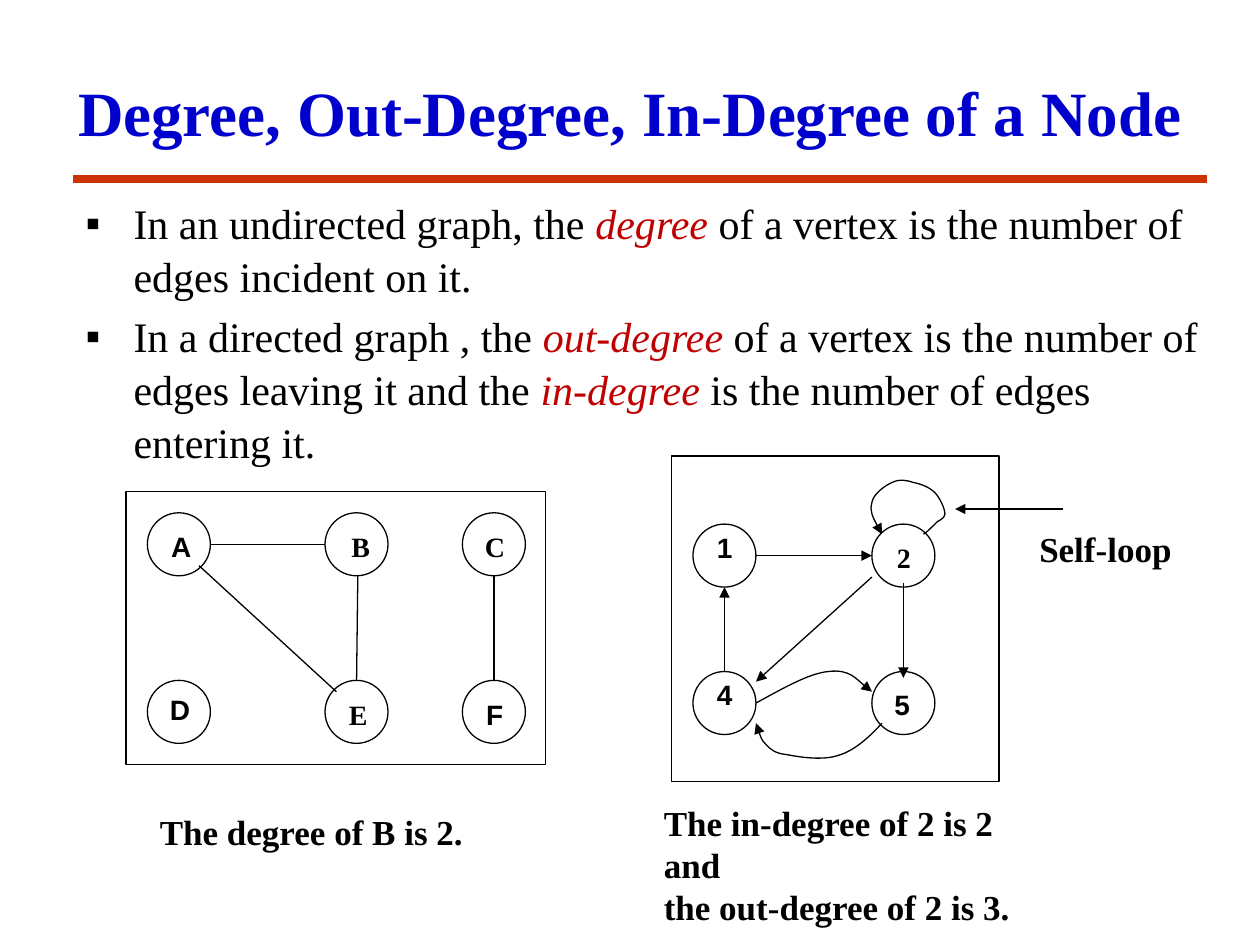
from dataclasses import dataclass
from typing import NamedTuple

from lxml import etree
from pptx import Presentation
from pptx.dml.color import RGBColor
from pptx.enum.shapes import MSO_CONNECTOR, MSO_SHAPE
from pptx.enum.text import MSO_ANCHOR, MSO_AUTO_SIZE, PP_ALIGN
from pptx.oxml.ns import qn
from pptx.util import Inches, Pt

STRAIGHT = MSO_CONNECTOR.STRAIGHT
OVAL, RECTANGLE = MSO_SHAPE.OVAL, MSO_SHAPE.RECTANGLE
TOP, MIDDLE = MSO_ANCHOR.TOP, MSO_ANCHOR.MIDDLE
CENTER = PP_ALIGN.CENTER
NO_FIT, FIT_SHAPE = MSO_AUTO_SIZE.NONE, MSO_AUTO_SIZE.SHAPE_TO_FIT_TEXT


@dataclass(frozen=True)
class Theme:
    ink: RGBColor = RGBColor(0, 0, 0)
    title: RGBColor = RGBColor(0, 0, 0xCC)
    term: RGBColor = RGBColor(0xC0, 0, 0)
    rule: RGBColor = RGBColor(0xCC, 0x33, 0)
    serif: str = "Times New Roman"
    sans: str = "Arial"
    title_size: float = 36
    body_size: float = 24
    caption_size: float = 20
    label_size: float = 16
    thin: float = 0.75
    thick: float = 4.5


THEME = Theme()
NODE_SIZE = 0.5


class Box(NamedTuple):
    left: float
    top: float
    width: float
    height: float


class Node(NamedTuple):
    label: str
    left: float
    top: float
    label_left: float
    label_top: float
    font: str


class Edge(NamedTuple):
    start: tuple[float, float]
    end: tuple[float, float]
    directed: bool = True


class Caption(NamedTuple):
    text: str
    box: Box


TITLE = "Degree, Out-Degree, In-Degree of a Node"
DEFINITIONS = [  # (text, is a defined term)
    [("In an undirected graph, the ", False), ("degree", True),
     (" of a vertex is the number of edges incident on it.", False)],
    [("In a directed graph , the ", False), ("out-degree ", True),
     ("of a vertex is the number of edges leaving it and the ", False),
     ("in-degree ", True), ("is the number of edges entering it.", False)],
]
FRAMES = [Box(1, 3.9, 3.33, 2.17), Box(5.33, 3.62, 2.6, 2.58)]
NODES = [
    Node("A", 1.17, 4.07, 1.26, 4.15, THEME.sans),
    Node("B", 2.58, 4.07, 2.69, 4.15, THEME.serif),
    Node("C", 3.67, 4.07, 3.75, 4.15, THEME.serif),
    Node("D", 1.17, 5.4, 1.25, 5.45, THEME.sans),
    Node("E", 2.58, 5.4, 2.67, 5.49, THEME.serif),
    Node("F", 3.67, 5.4, 3.76, 5.49, THEME.sans),
    Node("1", 5.5, 4.16, 5.59, 4.16, THEME.sans),
    Node("2", 6.92, 4.16, 7.02, 4.24, THEME.serif),
    Node("4", 5.5, 5.33, 5.59, 5.33, THEME.sans),
    Node("5", 6.92, 5.33, 7, 5.41, THEME.sans),
]
SELF_LOOP_POINTER = Edge((8.44, 4.04), (7.58, 4.04))
EDGES = [
    Edge((1.67, 4.32), (2.58, 4.32), False),
    Edge((1.58, 4.49), (2.67, 5.49), False),
    Edge((2.83, 5.4), (2.84, 4.57), False),
    Edge((3.92, 5.4), (3.92, 4.57), False),
    Edge((5.75, 5.33), (5.75, 4.66)),
    Edge((6, 4.41), (6.92, 4.41)),
    Edge((6.92, 4.58), (6, 5.41)),
    Edge((7.17, 4.63), (7.17, 5.38)),
    SELF_LOOP_POINTER,
]
SELF_LOOP = [
    (7.33, 4.24), (7.35, 4.23), (7.39, 4.19), (7.42, 4.16),
    (7.44, 4.13), (7.5, 4.12), (7.5, 4.08), (7.5, 4.04), (7.46, 3.95),
    (7.42, 3.91), (7.38, 3.87), (7.31, 3.84), (7.25, 3.83), (7.19, 3.81),
    (7.14, 3.8), (7.08, 3.83), (7.03, 3.85), (6.93, 3.92), (6.92, 3.99),
    (6.9, 4.06), (6.95, 4.15), (7, 4.24),
]
FOUR_TO_FIVE = [(6, 5.58), (6.22, 5.46), (6.43, 5.34), (6.58, 5.33),
                (6.74, 5.31), (6.86, 5.45), (6.92, 5.49)]
FIVE_TO_FOUR = [
    (7, 5.74), (6.9, 5.85), (6.79, 5.95), (6.67, 5.99), (6.54, 6.04),
    (6.35, 6.01), (6.25, 5.99), (6.15, 5.98), (6.12, 5.95), (6.08, 5.91),
    (6.04, 5.87), (6.01, 5.77), (6, 5.74),
]
CAPTIONS = [
    Caption("The degree of B is 2.", Box(1.17, 6.38, 2.63, 0.44)),
    Caption("The in-degree of 2 is 2 and\nthe out-degree of 2 is 3.",
            Box(5.17, 6.31, 3.33, 0.77)),
    Caption("Self-loop", Box(8.15, 4.14, 1.26, 0.44)),
]


def apply(target, values: dict) -> None:
    for attribute, value in values.items():
        setattr(target, attribute, value)


def place(shape, box: Box) -> None:
    apply(shape, {side: Inches(value) for side, value in box._asdict().items()})


def style_font(font, size: float, color: RGBColor = THEME.ink,
               name: str = THEME.serif, **extra) -> None:
    apply(font, {"name": name, "size": Pt(size), **extra})
    font.color.rgb = color


def style_line(shape, color: RGBColor = THEME.ink, width: float = THEME.thin,
               arrow: bool = False) -> None:
    shape.line.color.rgb = color
    shape.line.width = Pt(width)
    if arrow:
        etree.SubElement(shape.line._get_or_add_ln(), qn("a:tailEnd"), type="triangle")


def add_outline(slide, preset, box: Box) -> None:
    shape = slide.shapes.add_shape(preset, *map(Inches, box))
    shape.fill.background()
    shape.shadow.inherit = False
    style_line(shape)


def add_line(slide, edge: Edge, **line) -> None:
    connector = slide.shapes.add_connector(STRAIGHT, *map(Inches, edge.start + edge.end))
    style_line(connector, **line)
    etree.SubElement(connector._element.spPr, qn("a:effectLst"))


def add_curved_edge(slide, points: list[tuple[float, float]]) -> None:
    """Draw an arrow through a start point and triples of Bézier points."""
    start, *rest = [(Inches(x), Inches(y)) for x, y in points]
    builder = slide.shapes.build_freeform(*start)
    builder.add_line_segments(rest, close=False)
    shape = builder.convert_to_shape()
    segments = list(shape._element.iter(qn("a:lnTo")))
    for first in range(0, len(segments), 3):
        curve = etree.SubElement(segments[first].getparent(), qn("a:cubicBezTo"))
        for segment in segments[first:first + 3]:
            curve.append(segment[0])
            segment.getparent().remove(segment)
    shape.fill.background()
    shape.shadow.inherit = False
    style_line(shape, arrow=True)


def add_label(slide, text: str, box: Box, size: float, font: str = THEME.serif) -> None:
    frame = slide.shapes.add_textbox(*map(Inches, box)).text_frame
    apply(frame, {"word_wrap": False, "auto_size": FIT_SHAPE})
    paragraph = frame.paragraphs[0]
    paragraph.text = text
    for run in paragraph.runs:
        style_font(run.font, size, name=font, bold=True)


def fill_title(title) -> None:
    place(title, Box(0.5, 0.42, 9, 0.92))
    apply(title.text_frame, {"text": TITLE, "vertical_anchor": MIDDLE, "auto_size": NO_FIT})
    heading = title.text_frame.paragraphs[0]
    heading.alignment = CENTER
    style_font(heading.runs[0].font, THEME.title_size, THEME.title, bold=True)


def fill_definitions(body) -> None:
    place(body, Box(0.58, 1.5, 9.08, 2.1))
    frame = body.text_frame
    apply(frame, {"vertical_anchor": TOP, "auto_size": NO_FIT, "word_wrap": True})
    for index, definition in enumerate(DEFINITIONS):
        paragraph = frame.add_paragraph() if index else frame.paragraphs[0]
        apply(paragraph, {"line_spacing": 1.05, "space_before": Pt(4 * index)})
        properties = paragraph._p.get_or_add_pPr()
        properties.set("marL", str(Inches(0.38)))
        properties.set("indent", str(Inches(-0.38)))
        etree.SubElement(properties, qn("a:buFont"), typeface=THEME.sans)
        etree.SubElement(properties, qn("a:buChar"), char="▪")
        for text, is_term in definition:
            run = paragraph.add_run()
            run.text = text
            style_font(run.font, THEME.body_size,
                       THEME.term if is_term else THEME.ink, italic=is_term)


def main() -> None:
    deck = Presentation()
    apply(deck, {"slide_width": Inches(10), "slide_height": Inches(7.5)})
    slide = deck.slides.add_slide(deck.slide_layouts[1])
    add_line(slide, Edge((0.58, 1.42), (9.58, 1.42)), color=THEME.rule, width=THEME.thick)
    fill_title(slide.shapes.title)
    fill_definitions(slide.placeholders[1])
    for frame in FRAMES:
        add_outline(slide, RECTANGLE, frame)
    for node in NODES:
        add_outline(slide, OVAL, Box(node.left, node.top, NODE_SIZE, NODE_SIZE))
        add_label(slide, node.label, Box(node.label_left, node.label_top, 0.35, 0.37),
                  THEME.label_size, node.font)
    for edge in EDGES:
        add_line(slide, edge, arrow=edge.directed)
    for curve in (SELF_LOOP, FOUR_TO_FIVE, FIVE_TO_FOUR):
        add_curved_edge(slide, curve)
    for caption in CAPTIONS:
        add_label(slide, caption.text, caption.box, THEME.caption_size)
    deck.save("out.pptx")


if __name__ == "__main__":
    main()
